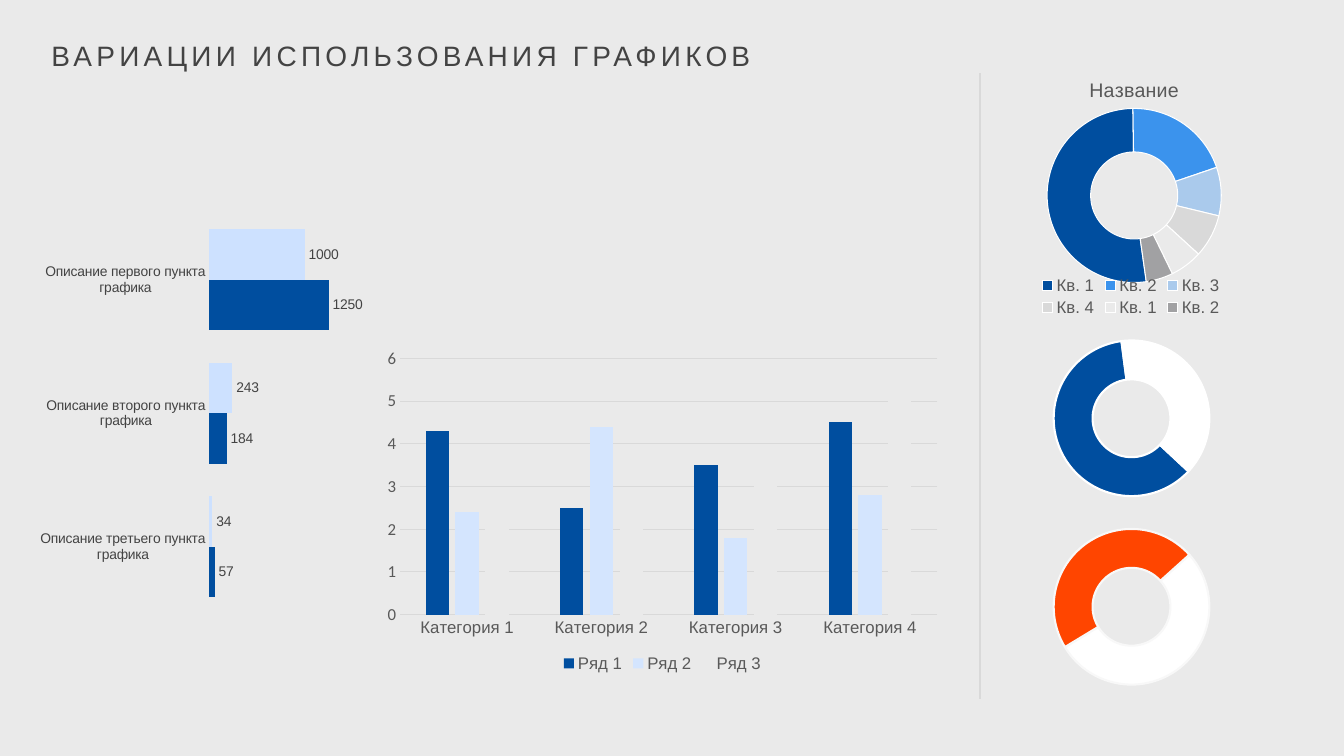
from collections import namedtuple

from lxml import etree
from pptx import Presentation
from pptx import util as u
from pptx.chart.data import CategoryChartData
from pptx.dml.color import RGBColor
from pptx.enum import chart as charts, shapes, text
from pptx.oxml import ns

Box = namedtuple("Box", "left top width height")
SLIDE_BOX = Box(0, 0, 13.33, 7.5)
BLUE, GREY, DARK, RULE = "004E9F", "595959", "434343", "D9D9D9"


def color(value):
    return RGBColor.from_string(value)


def inside(box, left, top, width, height):
    return Box(
        box.left + box.width * left / 100,
        box.top + box.height * top / 100,
        box.width * width / 100,
        box.height * height / 100,
    )


def inches(box):
    return [u.Inches(length) for length in box]


def style_font(font, size, tint, name="Arial"):
    font.size = u.Pt(size)
    font.name = name
    font.bold = False
    font.color.rgb = color(tint)


def fill_solid(target, tint):
    target.fill.solid()
    target.fill.fore_color.rgb = color(tint)


def draw_line(line, tint, width):
    line.color.rgb = color(tint)
    line.width = u.Pt(width)


def add_text(slide, box, content, size=12, tint=DARK, spacing=0, leading=1.0):
    frame = slide.shapes.add_textbox(*inches(box)).text_frame
    frame.word_wrap = True
    frame.auto_size = text.MSO_AUTO_SIZE.SHAPE_TO_FIT_TEXT
    frame.margin_left = frame.margin_right = 0
    frame.margin_top = frame.margin_bottom = 0
    paragraph = frame.paragraphs[0]
    paragraph.line_spacing = leading
    run = paragraph.add_run()
    run.text = content
    style_font(run.font, size, tint)
    run.font._element.set("spc", str(spacing * 100))


def add_chart(slide, box, kind, categories, series, tint="000000", font="Calibri"):
    data = CategoryChartData()
    data.categories = categories
    for name, values in series:
        data.add_series(name, values)
    chart = slide.shapes.add_chart(kind, *inches(box), data).chart
    chart.has_title = False
    chart.has_legend = False
    style_font(chart.font, 10, tint, font)
    return chart


def place_part(parent, **settings):
    layout = parent.find(ns.qn("c:layout"))
    if layout is None:
        layout = etree.Element(ns.qn("c:layout"))
        parent.insert(0, layout)
    manual = etree.SubElement(layout, ns.qn("c:manualLayout"))
    for name, value in settings.items():
        etree.SubElement(manual, ns.qn("c:" + name)).set("val", str(value))


def place_plot(chart, x, y, w, h):
    place_part(chart._chartSpace.chart.plotArea, layoutTarget="inner",
               xMode="edge", yMode="edge", x=x, y=y, w=w, h=h)


def add_legend(chart):
    chart.has_legend = True
    chart.legend.position = charts.XL_LEGEND_POSITION.BOTTOM
    chart.legend.include_in_layout = False
    style_font(chart.legend.font, 12, GREY)


def style_axis(axis, size, tint, font="Arial", line=None):
    axis.major_tick_mark = axis.minor_tick_mark = charts.XL_TICK_MARK.NONE
    style_font(axis.tick_labels.font, size, tint, font)
    if line:
        draw_line(axis.format.line, line, 0.75)
    else:
        axis.format.line.fill.background()


def add_doughnut(slide, box, categories, values, tints, start, hole=50,
                 outline="FFFFFF", width=1.5):
    chart = add_chart(slide, box, charts.XL_CHART_TYPE.DOUGHNUT, categories,
                      [("Series 1", values)])
    plot = chart.plots[0]
    plot.vary_by_categories = True
    for tag, value in (("c:firstSliceAng", start), ("c:holeSize", hole)):
        plot._element.find(ns.qn(tag)).set("val", str(value))
    for index, tint in enumerate(tints):
        point = plot.series[0].points[index]
        fill_solid(point.format, tint)
        draw_line(point.format.line, outline, width)
    return chart


def fade_point(chart, index, percent):
    fill = chart.plots[0].series[0].points[index].format.fill
    tint = fill._xPr.find(".//" + ns.qn("a:srgbClr"))
    etree.SubElement(tint, ns.qn("a:alpha")).set("val", str(percent * 1000))


def build_sidebar(slide, box):
    quarters = add_doughnut(
        slide, inside(box, 0, 0, 100, 43.18),
        ["Кв. 1", "Кв. 2", "Кв. 3", "Кв. 4", "Кв. 1", "Кв. 2"],
        [52, 20, 9, 8, 6, 5],
        [BLUE, "3B93ED", "6CABEE", "D9D9D9", "EAEAEA", "A1A1A3"],
        start=172, width=0.75)
    fade_point(quarters, 2, 50)
    quarters.has_title = True
    title = quarters.chart_title
    title.text_frame.text = "Название"
    style_font(title.text_frame.paragraphs[0].runs[0].font, 14, GREY)
    place_part(title._element, xMode="edge", yMode="edge", x=0.36, y=0.14)
    place_plot(quarters, 0.24, 0.16, 0.54, 0.81)
    add_legend(quarters)

    add_doughnut(slide, inside(box, 17.5, 44.09, 65.33, 27.58), ["1", "2"],
                 [61, 39], [BLUE, "FFFFFF"], start=133)
    add_doughnut(slide, inside(box, 21.58, 72.42, 57.2, 27.58), ["1", "2"],
                 [53, 47], ["FFFFFF", "FF4500"], start=48, hole=55,
                 outline="F8F8F8")

    left, top, _, height = inches(inside(box, 3.13, 5.91, 0, 94.09))
    divider = slide.shapes.add_connector(
        shapes.MSO_CONNECTOR.STRAIGHT, left, top + height, left, top)
    draw_line(divider.line, RULE, 1.25)
    etree.SubElement(divider._element.spPr, ns.qn("a:effectLst"))


def build_columns(slide, box):
    chart = add_chart(
        slide, box, charts.XL_CHART_TYPE.COLUMN_CLUSTERED,
        [f"Категория {number}" for number in range(1, 5)],
        [("Ряд 1", [4.3, 2.5, 3.5, 4.5]), ("Ряд 2", [2.4, 4.4, 1.8, 2.8]),
         ("Ряд 3", [2, 2, 3, 5])])
    plot = chart.plots[0]
    plot.vary_by_categories = False
    plot.gap_width, plot.overlap = 219, -27
    for series, tint in zip(plot.series, [BLUE, "D4E5FE", "EAEAEA"]):
        fill_solid(series.format, tint)
    style_axis(chart.category_axis, 12, GREY, line=RULE)
    style_axis(chart.value_axis, 12, GREY, font="Calibri")
    draw_line(chart.value_axis.major_gridlines.format.line, RULE, 0.75)
    add_legend(chart)


def build_bars(slide, box):
    chart = add_chart(
        slide, box, charts.XL_CHART_TYPE.BAR_CLUSTERED,
        [f"Описание {order} пункта графика"
         for order in ("первого", "второго", "третьего")],
        [("Series 1", [1000, 243, 34]), ("Series 2", [1250, 184, 57])],
        tint=DARK, font="Arial")
    plot = chart.plots[0]
    plot.vary_by_categories = False
    plot.gap_width = 65
    for series, tint in zip(plot.series, ["CDE1FF", BLUE]):
        fill_solid(series.format, tint)
        labels = series.data_labels
        labels.show_value = True
        labels.position = charts.XL_LABEL_POSITION.OUTSIDE_END
        style_font(labels.font, 10, DARK)
    style_axis(chart.category_axis, 10, DARK)
    chart.category_axis.reverse_order = True
    axis = chart.value_axis
    axis.minimum_scale, axis.maximum_scale = 0, 1400
    axis.has_major_gridlines = False
    axis.visible = False
    place_plot(chart, 0.53, 0.02, 0.42, 0.96)


def main():
    presentation = Presentation()
    presentation.slide_width = u.Inches(SLIDE_BOX.width)
    presentation.slide_height = u.Inches(SLIDE_BOX.height)
    slide = presentation.slides.add_slide(presentation.slide_layouts[6])
    fill_solid(slide.background, "EAEAEA")
    build_sidebar(slide, inside(SLIDE_BOX, 72.15, 4.4, 24, 88))
    build_columns(slide, inside(SLIDE_BOX, 27.98, 45.2, 42.6, 44.27))
    add_text(slide, inside(SLIDE_BOX, 3.83, 4.4, 61.95, 5.2),
             "ВАРИАЦИИ ИСПОЛЬЗОВАНИЯ ГРАФИКОВ", size=20, spacing=3, leading=1.15)
    build_bars(slide, inside(SLIDE_BOX, 3, 27.07, 24, 55.2))
    presentation.save("out.pptx")


if __name__ == "__main__":
    main()
